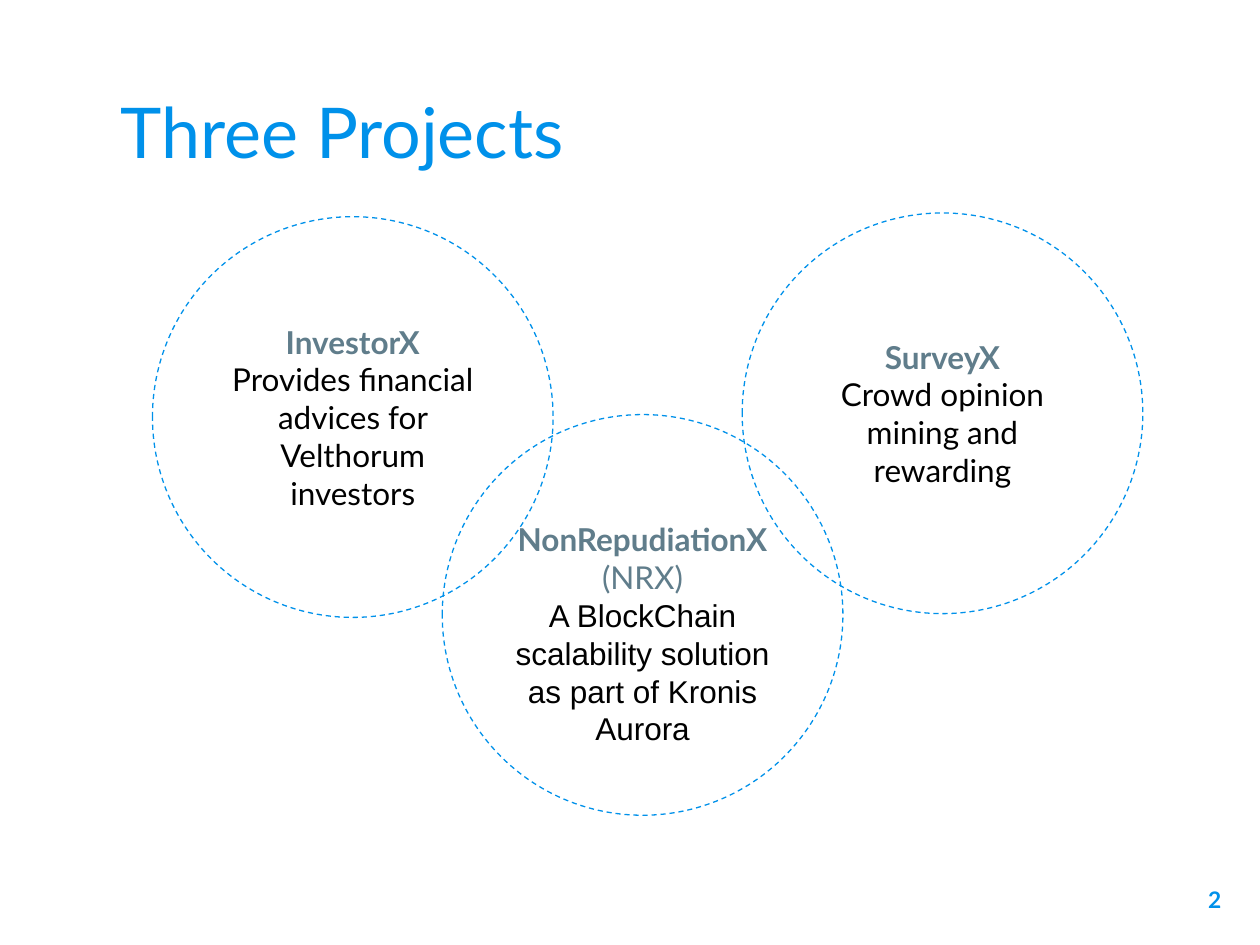
from dataclasses import dataclass
from pptx import Presentation
from pptx.dml.color import RGBColor as Rgb
from pptx.enum.dml import MSO_LINE as Dash
from pptx.enum.shapes import MSO_SHAPE as Shape
from pptx.enum.text import MSO_ANCHOR as Anchor, PP_ALIGN as Align
from pptx.util import Inches, Pt


@dataclass(frozen=True)
class Theme:
    blue: str = "0091EA"
    slate: str = "607D8B"
    black: str = "000000"
    font: str = "Lato"
    plain: str = "Arial"
    head: int = 40
    body: int = 18
    page: int = 13
    rule: float = 0.75
    disc: float = 3.18
    pad: float = 0.1


T = Theme()


def apply(item, form):
    for key, val in form.items():
        setattr(item, key, val)


def write(frame, lines, align, anchor, top=T.pad):
    apply(frame, {
        "word_wrap": True,
        "vertical_anchor": anchor,
        "margin_left": Inches(T.pad),
        "margin_right": Inches(T.pad),
        "margin_top": Inches(top),
        "margin_bottom": Inches(T.pad),
    })
    for num, (text, size, tint, bold, face) in enumerate(lines):
        para = frame.add_paragraph() if num else frame.paragraphs[0]
        para.alignment = align
        run = para.add_run()
        run.text = text
        apply(run.font, {"size": Pt(size), "bold": bold, "name": face})
        run.font.color.rgb = Rgb.from_string(tint)


def add_label(slide, spot, line, align, anchor):
    box = slide.shapes.add_textbox(*map(Inches, spot))
    write(box.text_frame, [line], align, anchor)


def add_disc(slide, left, top, lines, inset=T.pad):
    spot = (left, top, T.disc, T.disc)
    disc = slide.shapes.add_shape(Shape.OVAL, *map(Inches, spot))
    disc.shadow.inherit = False
    disc.fill.background()
    disc.line.color.rgb = Rgb.from_string(T.blue)
    apply(disc.line, {"width": Pt(T.rule), "dash_style": Dash.DASH})
    write(disc.text_frame, lines, Align.CENTER, Anchor.MIDDLE, inset)


def name(text):
    return text, T.body, T.slate, True, T.font


def note(text, tint=T.black, face=T.font):
    return text, T.body, tint, False, face


def main():
    deck = Presentation()
    apply(deck, {"slide_width": Inches(10), "slide_height": Inches(7.5)})
    slide = deck.slides.add_slide(deck.slide_layouts[6])

    add_label(slide, (0.86, 0.45, 8.28, 1.02),
              ("Three Projects", T.head, T.blue, False, T.font),
              Align.LEFT, Anchor.BOTTOM)
    add_disc(slide, 3.51, 3.29, [
        name("NonRepudiationX"),
        note("(NRX)", T.slate),
        note("A BlockChain scalability solution as part of Kronis Aurora",
             face=T.plain),
    ], inset=0.4)
    add_disc(slide, 1.21, 1.72, [
        name("InvestorX"),
        note("Provides financial advices for Velthorum investors"),
    ])
    add_disc(slide, 5.89, 1.69, [
        name("SurveyX"),
        note("Crowd opinion mining and rewarding"),
    ])
    add_label(slide, (9.19, 6.93, 0.6, 0.57),
              ("2", T.page, T.blue, True, T.font),
              Align.RIGHT, Anchor.TOP)
    deck.save("out.pptx")


if __name__ == "__main__":
    main()
